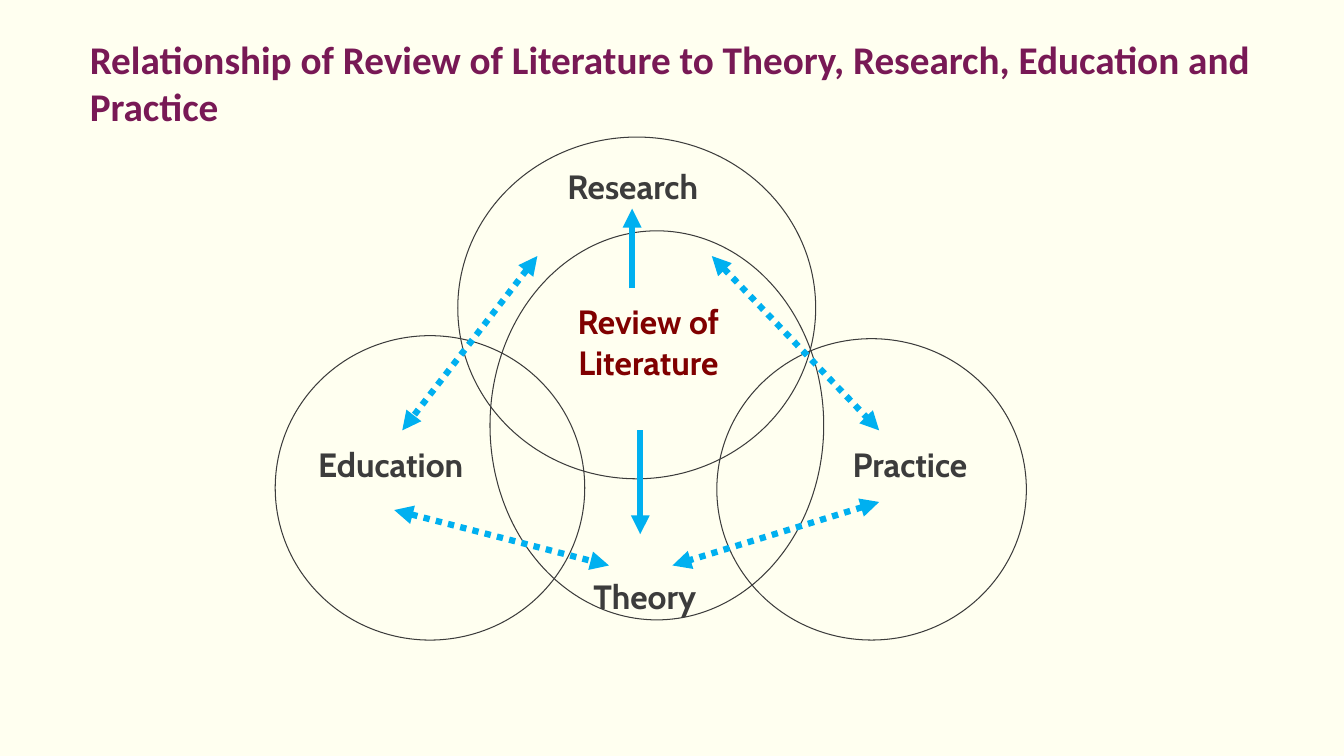
import pptx
import pptx.util
import pptx.dml.color
import pptx.enum.dml
import pptx.enum.shapes
import pptx.enum.text
import pptx.oxml
import pptx.oxml.ns
from pptx.util import Inches

PLUM = "781955"
CHARCOAL = "3C3C3C"
MAROON = "800000"
SKY = "00B0F0"
IVORY = "FFFFF0"

CIRCLES = [
    (4.54, 1.36, 3.55, 3.39),
    (7.11, 3.36, 3.07, 2.99),
    (4.86, 2.29, 3.31, 3.86),
    (2.73, 3.33, 3.07, 3.02),
]
LABELS = [
    ("Research", (4.78, 1.6, 2.99, 0.5), CHARCOAL),
    ("Practice", (8.16, 4.35, 1.73, 0.5), CHARCOAL),
    ("Education", (2.89, 4.35, 1.97, 0.5), CHARCOAL),
    ("Theory", (5.49, 5.66, 1.81, 0.5), CHARCOAL),
    ("Review of Literature", (5.17, 2.94, 2.52, 0.91), MAROON),
]
MUTUAL_LINKS = [
    ((7.06, 2.54), (8.72, 4.27)),
    ((5.33, 2.54), (3.99, 4.27)),
    ((3.91, 5.06), (6.04, 5.61)),
    ((8.72, 4.98), (6.67, 5.61)),
]
REVIEW_ARROWS = [
    ((6.35, 4.27), (6.35, 5.3)),
    ((6.27, 2.86), (6.27, 2.07)),
]


def paint(color_format, value):
    """Set a colour from a hex string."""
    color_format.rgb = pptx.dml.color.RGBColor.from_string(value)


def add_text(page, text, place, font_name, size, color):
    """Add a wrapped bold text box and return it."""
    box = page.shapes.add_textbox(*map(Inches, place))
    frame = box.text_frame
    frame.word_wrap = True
    frame.text = text
    font = frame.paragraphs[0].runs[0].font
    font.name = font_name
    font.size = pptx.util.Pt(size)
    font.bold = True
    paint(font.color, color)
    return box


def add_title(page, text):
    """Add the slide title without insets."""
    box = add_text(page, text, (0.89, 0.35, 11.55, 0.94), "Calibri", 28, PLUM)
    frame = box.text_frame
    frame.margin_left = frame.margin_right = 0
    frame.margin_top = frame.margin_bottom = 0


def add_label(page, text, place, color):
    """Add a centred diagram label."""
    box = add_text(page, text, place, "Cabin", 24, color)
    box.text_frame.auto_size = pptx.enum.text.MSO_AUTO_SIZE.SHAPE_TO_FIT_TEXT
    box.text_frame.paragraphs[0].alignment = pptx.enum.text.PP_ALIGN.CENTER


def add_circle(page, place):
    """Add an unfilled, thinly outlined circle."""
    circle = page.shapes.add_shape(
        pptx.enum.shapes.MSO_SHAPE.OVAL, *map(Inches, place))
    circle.shadow.inherit = False
    circle.fill.background()
    circle.line.width = pptx.util.Pt(0.75)
    paint(circle.line.color, CHARCOAL)


def add_arrow(page, start, end, mutual):
    """Add a solid arrow, or a dotted two-headed one if mutual."""
    arrow = page.shapes.add_connector(
        pptx.enum.shapes.MSO_CONNECTOR.STRAIGHT, *map(Inches, start + end))
    line = arrow.line
    line.width = pptx.util.Pt(4.5)
    line.fill.solid()
    paint(line.fill.fore_color, SKY)
    tips = ["a:tailEnd"]
    if mutual:
        line.dash_style = pptx.enum.dml.MSO_LINE.ROUND_DOT
        tips.insert(0, "a:headEnd")
    properties = arrow.element.spPr
    outline = properties.find(pptx.oxml.ns.qn("a:ln"))
    for tip in tips:
        head = pptx.oxml.parse_xml(
            f'<{tip} {pptx.oxml.ns.nsdecls("a")} type="triangle"/>')
        outline.append(head)
    properties.append(pptx.oxml.parse_xml(
        f'<a:effectLst {pptx.oxml.ns.nsdecls("a")}/>'))


def main():
    """Build the literature review diagram."""
    deck = pptx.Presentation()
    deck.slide_width = Inches(13.33)
    deck.slide_height = Inches(7.5)
    page = deck.slides.add_slide(deck.slide_layouts[6])
    page.background.fill.solid()
    paint(page.background.fill.fore_color, IVORY)
    add_title(page, "Relationship of Review of Literature to Theory, "
                    "Research, Education and Practice")
    for place in CIRCLES:
        add_circle(page, place)
    for text, place, color in LABELS:
        add_label(page, text, place, color)
    for start, end in MUTUAL_LINKS:
        add_arrow(page, start, end, True)
    for start, end in REVIEW_ARROWS:
        add_arrow(page, start, end, False)
    deck.save("out.pptx")


if __name__ == "__main__":
    main()
